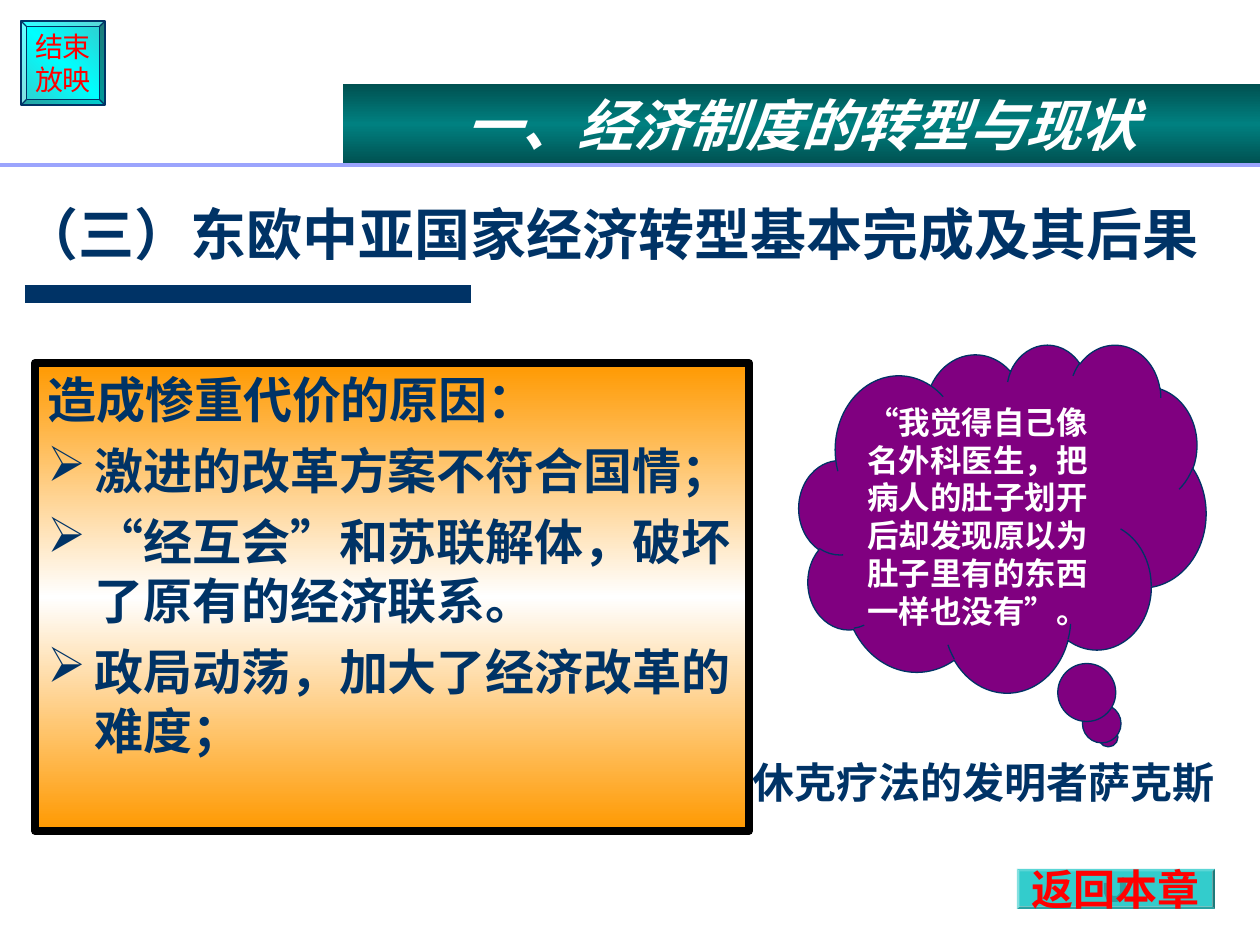
from copy import deepcopy

from lxml import etree
from pptx import Presentation
from pptx import util as u
from pptx.dml.color import RGBColor
from pptx.enum import lang, shapes, text
from pptx.oxml.ns import qn

PX = 914400 / 126
CJK = "Noto Sans CJK SC"
COLORS = {
    "navy": "003366", "white": "FFFFFF", "black": "000000", "red": "FF0000",
    "orange": "FF9900", "purple": "800080", "teal": "33CCCC", "cyan": "00FFFF",
    "icon": "299F9F", "banner": "008080", "banner_edge": "005151", "rule": "9BA4FD",
}
CENTER = text.PP_ALIGN.CENTER
MIDDLE = text.MSO_ANCHOR.MIDDLE


def px(value):
    return u.Emu(round(value * PX))


def rgb(name):
    return RGBColor.from_string(COLORS[name])


def add_box(slide, box, kind=None, fill=None, line=None, line_width=0.75):
    """Add a preset shape, or a text box when no kind is given."""
    place = [px(value) for value in box]
    if kind is None:
        return slide.shapes.add_textbox(*place)
    shape = slide.shapes.add_shape(kind, *place)
    paint(shape, fill, line, line_width)
    return shape


def paint(shape, fill=None, line=None, line_width=0.75):
    shape.shadow.inherit = False
    if fill:
        shape.fill.solid()
        shape.fill.fore_color.rgb = rgb(fill)
    if line:
        shape.line.color.rgb = rgb(line)
        shape.line.width = u.Pt(line_width)
    else:
        shape.line.fill.background()


def set_gradient(shape, edge, middle, angle):
    """Three stops: edge, middle, edge."""
    shape.fill.gradient()
    shape.fill.gradient_angle = angle
    stop_list = shape._element.spPr.find(qn("a:gradFill")).find(qn("a:gsLst"))
    stop_list.append(deepcopy(stop_list[0]))
    stops = zip(shape.fill.gradient_stops, (edge, middle, edge), (0, 0.5, 1))
    for stop, color, position in stops:
        stop.color.rgb = rgb(color)
        stop.position = position


def write(shape, lines, size, color, font=CJK, bold=True, italic=False, wrap=True,
          align=text.PP_ALIGN.LEFT, anchor=text.MSO_ANCHOR.TOP):
    frame = shape.text_frame
    frame.text = "\n".join(lines)
    frame.word_wrap = wrap
    frame.vertical_anchor = anchor
    for paragraph in frame.paragraphs:
        paragraph.alignment = align
        for run in paragraph.runs:
            run.font.size = u.Pt(size)
            run.font.name = font
            run.font.bold = bold
            run.font.italic = italic
            run.font.color.rgb = rgb(color)
            run.font.language_id = lang.MSO_LANGUAGE_ID.SIMPLIFIED_CHINESE
            east_asian = etree.Element(qn("a:ea"), typeface=CJK)
            run.font._element.find(qn("a:latin")).addnext(east_asian)
    return frame.paragraphs


def add_bullet(paragraph, char, color):
    properties = paragraph._p.get_or_add_pPr()
    properties.set("marL", str(px(47)))
    properties.set("indent", str(-px(47)))
    bullet_color = etree.SubElement(properties, qn("a:buClr"))
    etree.SubElement(bullet_color, qn("a:srgbClr"), val=COLORS[color])
    etree.SubElement(properties, qn("a:buChar"), char=char)


def add_rule(slide, x1, x2, y, color, width):
    rule = slide.shapes.add_connector(
        shapes.MSO_CONNECTOR.STRAIGHT, px(x1), px(y), px(x2), px(y))
    rule.line.color.rgb = rgb(color)
    rule.line.width = u.Pt(width)
    etree.SubElement(rule._element.spPr, qn("a:effectLst"))


def add_end_button(slide, box):
    button = add_box(slide, box, shapes.MSO_SHAPE.BEVEL, line="navy")
    button.adjustments[0] = 0.0625
    set_gradient(button, "teal", "cyan", 225)
    write(button, ["结束", "放映"], 16, "red", "Arial", bold=False, wrap=False,
          align=CENTER, anchor=MIDDLE)


def add_return_button(slide, box):
    left, top, width, height = box
    button = add_box(slide, box, shapes.MSO_SHAPE.BEVEL, "teal")
    button.adjustments[0] = 0.0625

    # U-turn arrow behind the label
    points = [(87, 14), (93, 14), (93, 24), (96, 27), (100, 27), (103, 24),
              (103, 14), (100, 14), (106, 8), (112, 14), (109, 14), (109, 24),
              (105, 31), (100, 33), (96, 33), (90, 31), (87, 24)]
    outline = [(left + x, top + y) for x, y in points]
    builder = slide.shapes.build_freeform(*outline[0], scale=PX)
    builder.add_line_segments(outline[1:], close=True)
    paint(builder.convert_to_shape(), "icon")

    label = add_box(slide, box)
    write(label, ["返回本章"], 24, "red", "Arial", wrap=False,
          align=CENTER, anchor=MIDDLE)


def add_banner(slide, box):
    left, top, width, height = box
    banner = add_box(slide, box, shapes.MSO_SHAPE.RECTANGLE)
    set_gradient(banner, "banner_edge", "banner", 270)
    write(banner, ["一、经济制度的转型与现状"], 32, "white", italic=True, align=CENTER)
    add_rule(slide, 0, left + width, top + height + 1, "rule", 1.75)


def add_title(slide, box):
    left, top, width, height = box
    add_rule(slide, left + 15, left + 461, top + height + 20, "navy", 10)
    title = add_box(slide, box)
    paragraphs = write(title, ["（三）东欧中亚国家经济转型基本完成及其后果"], 32, "navy",
                       anchor=text.MSO_ANCHOR.BOTTOM)
    paragraphs[0].line_spacing = 0.9


def add_reasons(slide, box):
    panel = add_box(slide, box, shapes.MSO_SHAPE.RECTANGLE,
                    line="black", line_width=4.5)
    set_gradient(panel, "orange", "white", 270)
    paragraphs = write(panel, [
        "造成惨重代价的原因：",
        "激进的改革方案不符合国情；",
        "“经互会”和苏联解体，破坏了原有的经济联系。",
        "政局动荡，加大了经济改革的难度；",
    ], 28, "navy")
    for paragraph in paragraphs[1:]:
        add_bullet(paragraph, "➢", "navy")
        paragraph.space_before = u.Pt(7)


def add_quote(slide, box):
    left, top, width, height = box
    cloud = add_box(slide, box, shapes.MSO_SHAPE.CLOUD_CALLOUT, "purple", "navy")
    cloud.adjustments[0] = 0.26
    cloud.adjustments[1] = 0.63
    write(cloud, ["“我觉得自己像名外科医生，把病人的肚子划开后却发现原以为肚子里有的东西一样也没有”。"],
          18, "white", "Arial")

    # Speaker below the cloud
    caption = add_box(slide, (left - 59, top + height + 58, 496, 69))
    write(caption, ["休克疗法的发明者萨克斯"], 24, "navy", "Arial")


def main():
    presentation = Presentation()
    presentation.slide_width = px(1260)
    presentation.slide_height = px(945)
    slide = presentation.slides.add_slide(presentation.slide_layouts[6])
    add_end_button(slide, (21, 21, 84, 84))
    add_title(slide, (10, 136, 1240, 138))
    add_reasons(slide, (35, 363, 714, 468))
    add_quote(slide, (799, 344, 407, 348))
    add_return_button(slide, (1017, 869, 198, 40))
    add_banner(slide, (343, 84, 917, 80))
    presentation.save("out.pptx")


if __name__ == "__main__":
    main()
